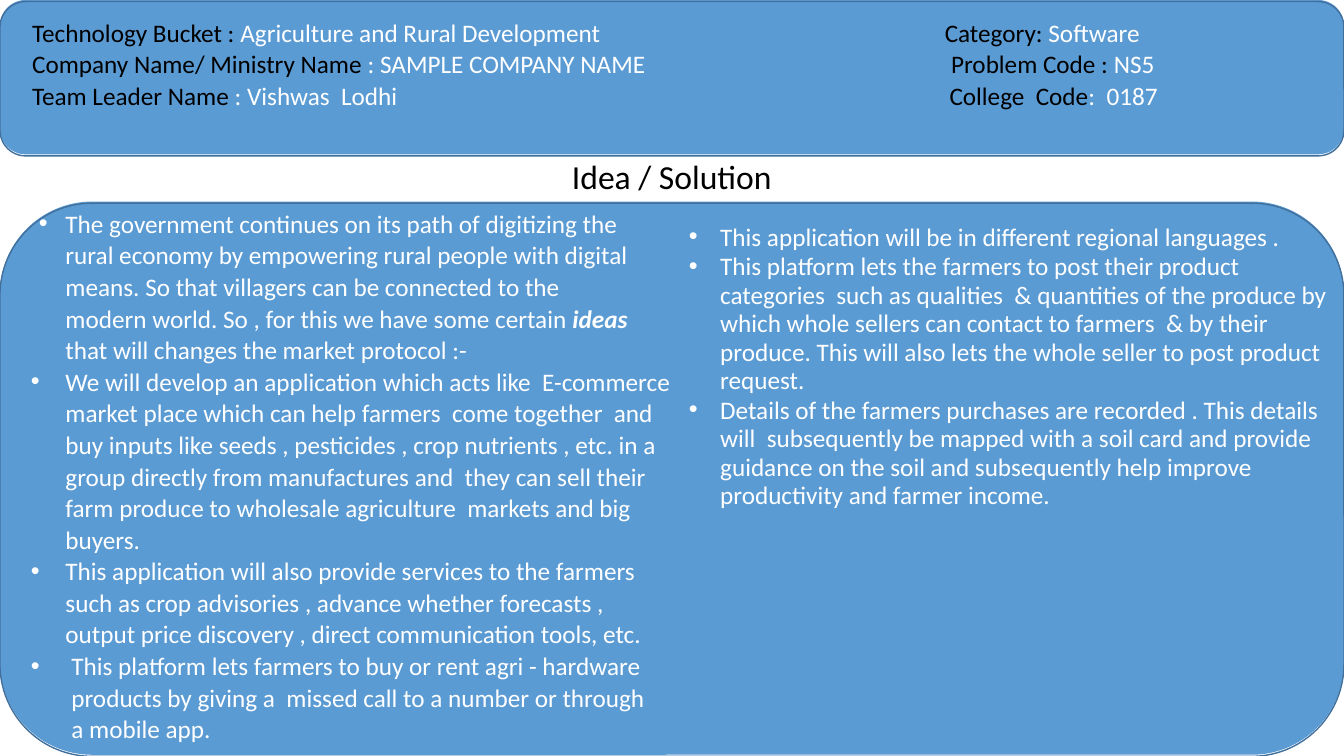
from dataclasses import dataclass

from lxml.etree import SubElement
from pptx import Presentation
from pptx.dml.color import RGBColor as Rgb
from pptx.enum.shapes import MSO_SHAPE as Shape
from pptx.enum.text import MSO_ANCHOR as Anchor, MSO_AUTO_SIZE as AutoSize, PP_ALIGN as Align
from pptx.oxml.ns import qn
from pptx.util import Cm, Pt


@dataclass(frozen=True)
class Theme:
    font: str = "Calibri"
    title_size: int = 24
    body_size: int = 18
    dark: str = "000000"
    light: str = "FFFFFF"
    panel: str = "5B9BD4"
    outline: str = "41709C"


THEME = Theme()

# Content: header rows as (label, value, tab position, label, value)
HEADER = [
    ("Technology Bucket : ", "Agriculture and Rural Development", 23.0, "Category: ", "Software"),
    ("Company Name/ Ministry Name ", ": SAMPLE COMPANY NAME", 23.16, "Problem Code : ", "NS5"),
    ("Team Leader Name ", ": Vishwas  Lodhi", 23.12, "College  Code", ":  0187"),
]
TITLE = "Idea / Solution"

# Bullets as (bullet position, text position, text); *stars* mark emphasis
IDEAS = [
    (0.98, 1.65, "The government continues on its path of digitizing the\n"
     "rural economy by empowering rural people with digital\n"
     "means. So that villagers can be connected to the\n"
     "modern world. So , for this we have some certain *ideas*\n"
     "that will changes the market protocol :-"),
    (0.78, 1.65, "We will develop an application which acts like  E-commerce\n"
     "market place which can help farmers  come together  and\n"
     "buy inputs like seeds , pesticides , crop nutrients , etc. in a\n"
     "group directly from manufactures and  they can sell their\n"
     "farm produce to wholesale agriculture  markets and big\n"
     "buyers."),
    (0.78, 1.65, "This application will also provide services to the farmers\n"
     "such as crop advisories , advance whether forecasts ,\n"
     "output price discovery , direct communication tools, etc."),
    (0.78, 1.8, "This platform lets farmers to buy or rent agri - hardware\n"
     "products by giving a  missed call to a number or through\n"
     "a mobile app."),
]
FEATURES = [
    (0.04, 0.83, text) for text in (
        "This application will be in different regional languages .",
        "This platform lets the farmers to post their product categories  such as qualities  "
        "& quantities of the produce by which whole sellers can contact to farmers  & by their "
        "produce. This will also lets the whole seller to post product request.",
        "Details of the farmers purchases are recorded . This details will  subsequently be "
        "mapped with a soil card and provide guidance on the soil and subsequently help "
        "improve productivity and farmer income.",
    )
]

# Layout in centimetres: left, top, width, height
SLIDE_WIDTH, SLIDE_HEIGHT = 33.87, 19.05
PANELS = [(0, 0, SLIDE_WIDTH, 3.89), (0, 5.08, SLIDE_WIDTH, 13.94)]
OUTLINE_OFFSET = 0.04
HEADER_BOX = (0.81, 0.43, 32.1, 3.2)
TITLE_BOX = (13.33, 3.81, 7.2, 1.27)
IDEAS_BOX = (0, 5.21, 17.8, 13.8)
FEATURES_BOX = (17.32, 5.61, 16.33, 8.7)


def add_text(paragraph, text, size=THEME.body_size, color=THEME.light, emphasis=False):
    for index, line in enumerate(text.split("\n")):
        if index:
            paragraph.add_line_break()
        run = paragraph.add_run()
        run.text = line
        run.font.name, run.font.size = THEME.font, Pt(size)
        run.font.color.rgb = Rgb.from_string(color)
        run.font.bold = run.font.italic = emphasis
    for line_break in paragraph._p.findall(qn("a:br")):
        if not len(line_break):
            SubElement(line_break, qn("a:rPr"), sz=str(size * 100))


def place(shape, box, anchor=Anchor.TOP):
    shape.left, shape.top, shape.width, shape.height = map(Cm, box)
    frame = shape.text_frame
    frame.word_wrap, frame.auto_size, frame.vertical_anchor = True, AutoSize.NONE, anchor
    frame.margin_left = frame.margin_right = frame.margin_top = frame.margin_bottom = 0
    return frame


def paragraphs_for(frame, items):
    for index, item in enumerate(items):
        yield (frame.add_paragraph() if index else frame.paragraphs[0]), item


def fill_list(shape, box, bullets, line_spacing, space_before):
    for paragraph, (bullet, indent, text) in paragraphs_for(place(shape, box), bullets):
        paragraph.line_spacing, paragraph.space_before = Pt(line_spacing), Pt(space_before)
        properties = paragraph._p.get_or_add_pPr()
        properties.set("marL", str(Cm(indent)))
        properties.set("indent", str(Cm(bullet) - Cm(indent)))
        for part, words in enumerate(text.split("*")):
            add_text(paragraph, words, emphasis=part % 2 == 1)


presentation = Presentation()
presentation.slide_width, presentation.slide_height = Cm(SLIDE_WIDTH), Cm(SLIDE_HEIGHT)
slide = presentation.slides.add_slide(presentation.slide_layouts[3])
title, ideas, features = slide.placeholders

# Panels behind the text, each a fill with a slightly lower outline
for left, top, width, height in PANELS:
    for offset in (0, OUTLINE_OFFSET):
        panel = slide.shapes.add_shape(
            Shape.ROUNDED_RECTANGLE, Cm(left), Cm(top + offset), Cm(width), Cm(height))
        panel.shadow.inherit = False
        if offset:
            panel.fill.background()
            panel.line.color.rgb, panel.line.width = Rgb.from_string(THEME.outline), Pt(1)
        else:
            panel.fill.solid()
            panel.fill.fore_color.rgb = Rgb.from_string(THEME.panel)
            panel.line.fill.background()
        title.element.addprevious(panel.element)

# Header rows, right-hand entries set by a tab stop
header = slide.shapes.add_textbox(*map(Cm, HEADER_BOX))
for paragraph, (label, value, tab, right_label, right_value) in paragraphs_for(
        place(header, HEADER_BOX), HEADER):
    paragraph.space_before = Pt(1)
    tabs = SubElement(paragraph._p.get_or_add_pPr(), qn("a:tabLst"))
    SubElement(tabs, qn("a:tab"), pos=str(Cm(tab)), algn="l")
    add_text(paragraph, label, color=THEME.dark)
    add_text(paragraph, value + "\t")
    add_text(paragraph, right_label, color=THEME.dark)
    add_text(paragraph, right_value)

# Title and the two lists
heading = place(title, TITLE_BOX, Anchor.MIDDLE).paragraphs[0]
heading.alignment = Align.CENTER
add_text(heading, TITLE, size=THEME.title_size, color=THEME.dark)
fill_list(ideas, IDEAS_BOX, IDEAS, line_spacing=22.55, space_before=0)
fill_list(features, FEATURES_BOX, FEATURES, line_spacing=20.3, space_before=1)

presentation.save("out.pptx")
